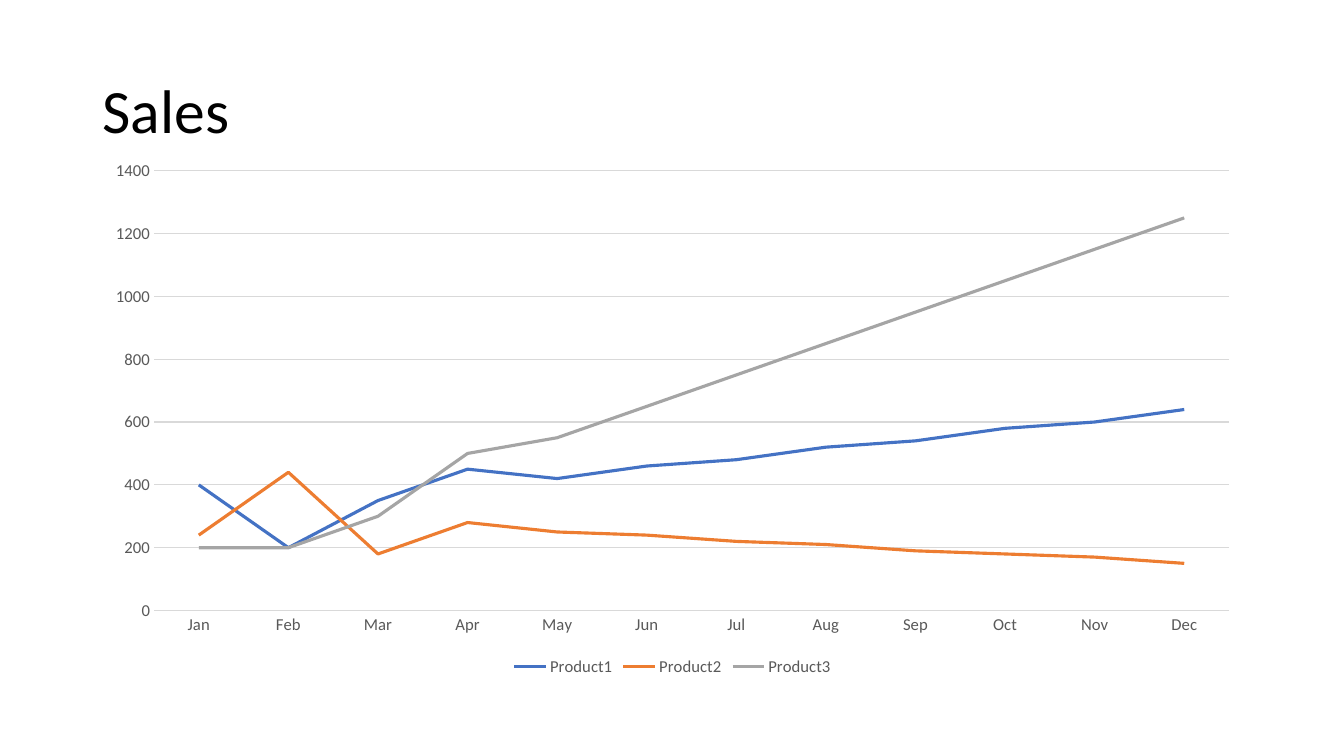
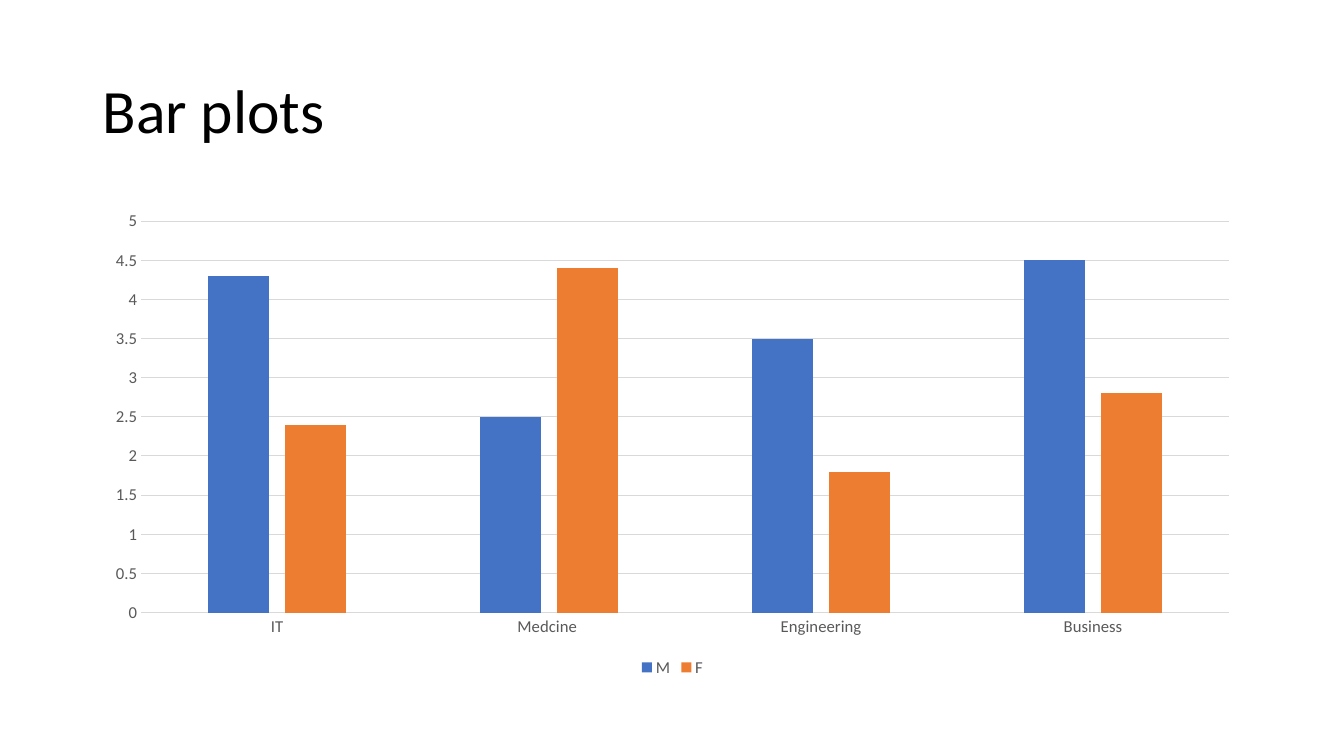
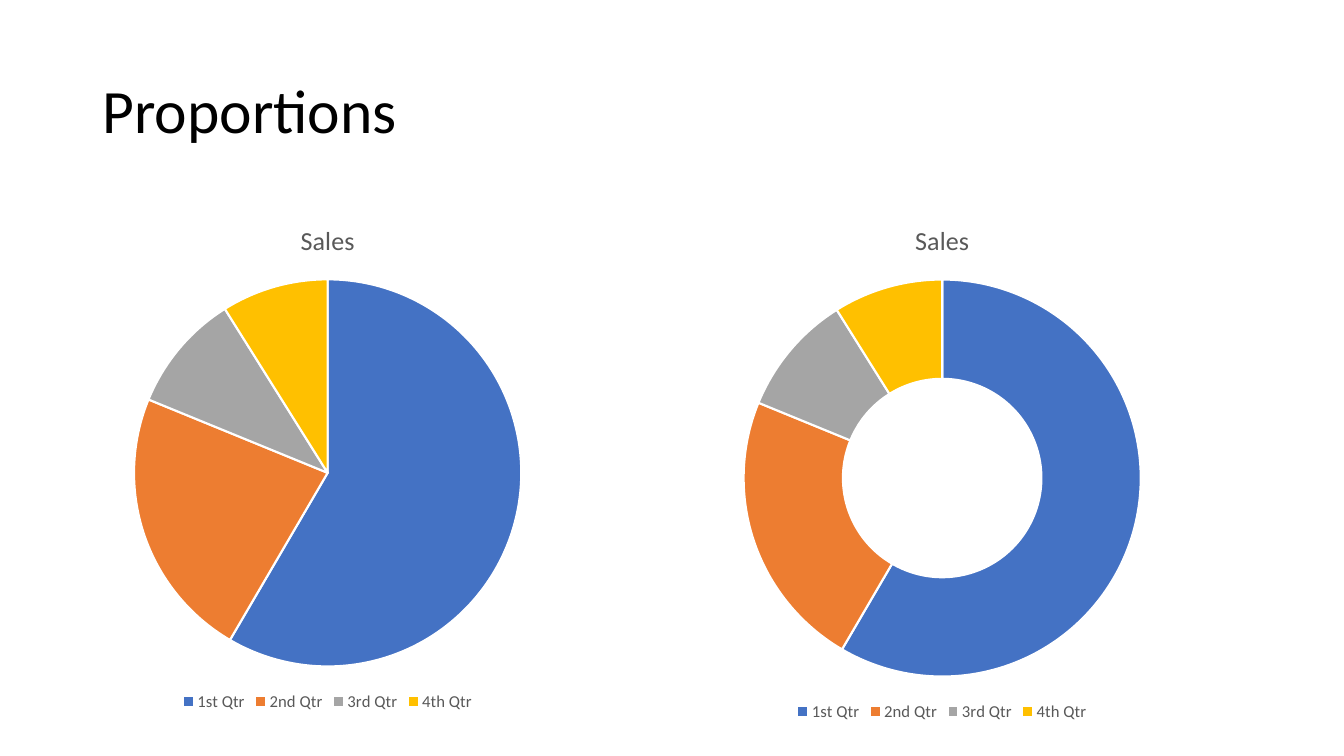
from pptx import Presentation
from pptx.chart.data import CategoryChartData
from pptx.dml.color import RGBColor
from pptx.enum.chart import XL_CHART_TYPE, XL_LEGEND_POSITION, XL_TICK_MARK
from pptx.enum.text import MSO_ANCHOR
from pptx.util import Inches, Pt

LINE = XL_CHART_TYPE.LINE
COLUMN = XL_CHART_TYPE.COLUMN_CLUSTERED
PIE = XL_CHART_TYPE.PIE
RING = XL_CHART_TYPE.DOUGHNUT
BOTTOM = XL_LEGEND_POSITION.BOTTOM
NO_TICK = XL_TICK_MARK.NONE
MIDDLE = MSO_ANCHOR.MIDDLE

BLACK = RGBColor(0x00, 0x00, 0x00)
WHITE = RGBColor(0xFF, 0xFF, 0xFF)
GREY = RGBColor(0x59, 0x59, 0x59)
RULE = RGBColor(0xD9, 0xD9, 0xD9)
BLUE = RGBColor(0x44, 0x72, 0xC4)
ORANGE = RGBColor(0xED, 0x7D, 0x31)
SILVER = RGBColor(0xA5, 0xA5, 0xA5)
GOLD = RGBColor(0xFF, 0xC0, 0x00)
PALETTE = (BLUE, ORANGE, SILVER, GOLD)

FACE = "Calibri"
LEFT = 0.92
WIDTH = 11.5

MONTHS = "Jan Feb Mar Apr May Jun Jul Aug Sep Oct Nov Dec".split()
SALES = {
    "Product1": (400, 200, 350, 450, 420, 460, 480, 520, 540, 580, 600, 640),
    "Product2": (240, 440, 180, 280, 250, 240, 220, 210, 190, 180, 170, 150),
    "Product3": (200, 200, 300, 500, 550, 650, 750, 850, 950, 1050, 1150, 1250),
}
FIELDS = ("IT", "Medcine ", "Engineering", "Business")
GENDERS = {"M": (4.3, 2.5, 3.5, 4.5), "F": (2.4, 4.4, 1.8, 2.8)}
QUARTERS = ("1st Qtr", "2nd Qtr", "3rd Qtr", "4th Qtr")
SHARES = {"Sales": (59, 23, 10, 9)}


def set_font(font, size, color):
    font.name = FACE
    font.size = Pt(size)
    font.color.rgb = color


def set_line(line, color, width):
    line.color.rgb = color
    line.width = Pt(width)


def add_slide(deck, title):
    """Add a blank slide with the shared title."""
    slide = deck.slides.add_slide(deck.slide_layouts[6])
    box = slide.shapes.add_textbox(
        Inches(LEFT), Inches(0.4), Inches(WIDTH), Inches(1.45))
    frame = box.text_frame
    frame.word_wrap = True
    frame.vertical_anchor = MIDDLE
    frame.text = title
    para = frame.paragraphs[0]
    para.line_spacing = 0.9
    set_font(para.runs[0].font, 44, BLACK)
    return slide


def add_chart(slide, kind, place, cats, series):
    """Add a chart with the shared fonts and a legend below."""
    data = CategoryChartData()
    data.categories = cats
    for name, values in series.items():
        data.add_series(name, values)
    area = [Inches(length) for length in place]
    chart = slide.shapes.add_chart(kind, *area, data).chart
    set_font(chart.font, 10, BLACK)
    chart.has_title = False
    chart.has_legend = True
    chart.legend.position = BOTTOM
    chart.legend.include_in_layout = False
    set_font(chart.legend.font, 11.9, GREY)
    return chart


def style_axes(chart):
    for axis in (chart.category_axis, chart.value_axis):
        axis.major_tick_mark = NO_TICK
        axis.minor_tick_mark = NO_TICK
        set_font(axis.tick_labels.font, 11.9, GREY)
    set_line(chart.category_axis.format.line, RULE, 0.75)
    values = chart.value_axis
    values.format.line.fill.background()
    values.has_major_gridlines = True
    set_line(values.major_gridlines.format.line, RULE, 0.75)


def add_lines(slide, place, cats, series):
    chart = add_chart(slide, LINE, place, cats, series)
    style_axes(chart)
    chart.plots[0].vary_by_categories = False
    for item, color in zip(chart.series, PALETTE):
        item.smooth = False
        set_line(item.format.line, color, 2.25)


def add_columns(slide, place, cats, series):
    chart = add_chart(slide, COLUMN, place, cats, series)
    style_axes(chart)
    plot = chart.plots[0]
    plot.vary_by_categories = False
    plot.gap_width = 219
    plot.overlap = -27
    for item, color in zip(chart.series, PALETTE):
        item.format.fill.solid()
        item.format.fill.fore_color.rgb = color


def add_round(slide, kind, place, cats, series):
    """Add a titled pie or doughnut with white gaps between the slices."""
    chart = add_chart(slide, kind, place, cats, series)
    chart.plots[0].vary_by_categories = True
    item = chart.series[0]
    chart.has_title = True
    chart.chart_title.include_in_layout = False
    frame = chart.chart_title.text_frame
    frame.text = item.name
    font = frame.paragraphs[0].runs[0].font
    set_font(font, 18.6, GREY)
    font.bold = False
    for index, color in enumerate(PALETTE):
        style = item.points[index].format
        style.fill.solid()
        style.fill.fore_color.rgb = color
        set_line(style.line, WHITE, 1.5)


def main():
    deck = Presentation()
    deck.slide_width = Inches(13.33)
    deck.slide_height = Inches(7.5)

    slide = add_slide(deck, "Sales")
    add_lines(slide, (LEFT, 1.49, WIDTH, 5.26), MONTHS, SALES)

    slide = add_slide(deck, "Bar plots")
    add_columns(slide, (LEFT, 2, WIDTH, 4.76), FIELDS, GENDERS)

    slide = add_slide(deck, "Proportions")
    add_round(slide, PIE, (LEFT, 2, 4.66, 5.1), QUARTERS, SHARES)
    add_round(slide, RING, (6.9, 2, 4.89, 5.2), QUARTERS, SHARES)

    deck.save("out.pptx")


if __name__ == "__main__":
    main()
